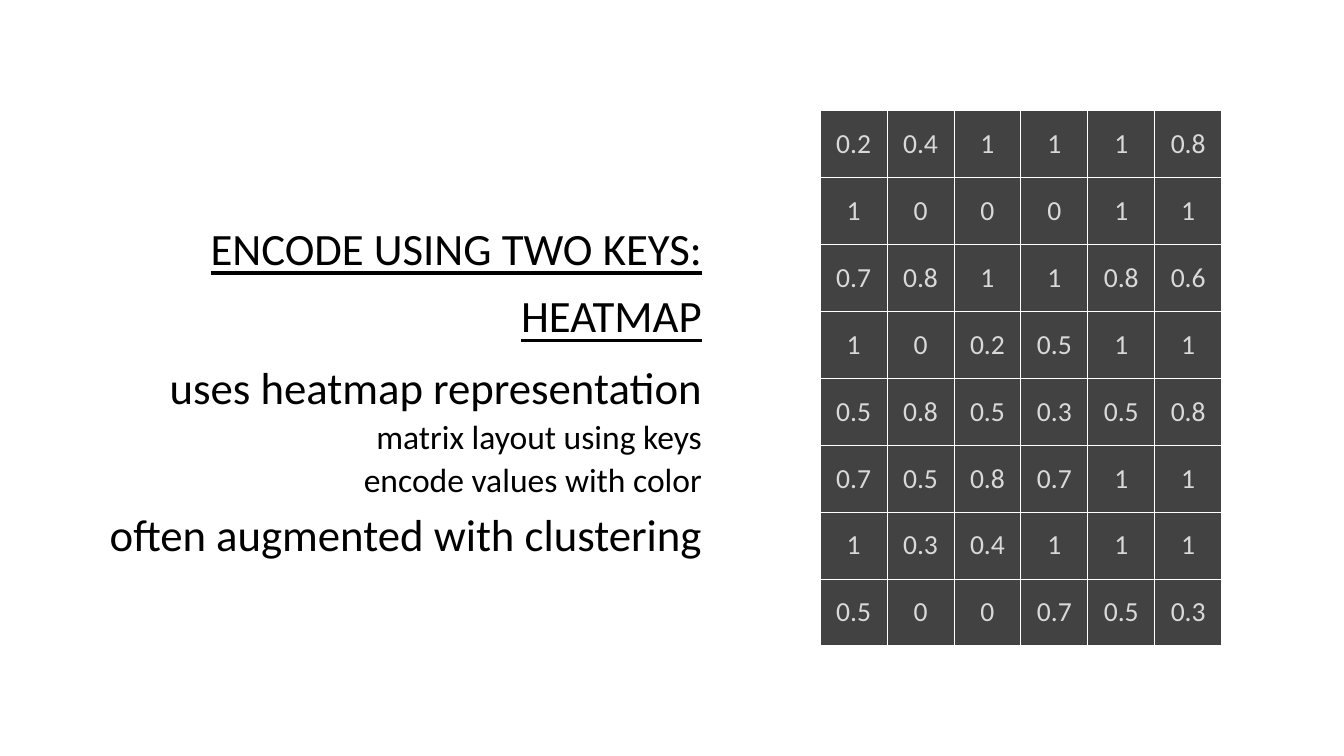
import pptx
import pptx.dml.color
import pptx.enum.text
import pptx.oxml
import pptx.oxml.ns
import pptx.util

Pt = pptx.util.Pt
FONT = "Calibri"

# text, size, space before, space after, line spacing
SUMMARY = [
    ("encode using two keys: heatmap", 56.9, 0, 8.5, 1.0),
    ("uses heatmap representation", 45.5, 7.1, 0, 1.0),
    ("matrix layout using keys", 34.1, 7.1, 0, 0.9),
    ("encode values with color", 34.1, 7.1, 0, 0.9),
    ("often augmented with clustering", 45.5, 7.1, 0, 1.0),
]
HEATMAP = [
    (0.2, 0.4, 1, 1, 1, 0.8),
    (1, 0, 0, 0, 1, 1),
    (0.7, 0.8, 1, 1, 0.8, 0.6),
    (1, 0, 0.2, 0.5, 1, 1),
    (0.5, 0.8, 0.5, 0.3, 0.5, 0.8),
    (0.7, 0.5, 0.8, 0.7, 1, 1),
    (1, 0.3, 0.4, 1, 1, 1),
    (0.5, 0, 0, 0.7, 0.5, 0.3),
]
CELL_SIZE = 68


def rgb(color):
    return pptx.dml.color.RGBColor.from_string(color)


def style_text(paragraph, size, color, align):
    paragraph.alignment = align
    paragraph.font.name = FONT
    paragraph.font.size = Pt(size)
    paragraph.font.color.rgb = rgb(color)


def add_borders(cell, color, width):
    """Outline all four sides; the sides must precede the fill in the cell."""
    properties = cell._tc.get_or_add_tcPr()
    for index, side in enumerate(("lnL", "lnR", "lnT", "lnB")):
        line = pptx.oxml.parse_xml(
            f'<a:{side} {pptx.oxml.ns.nsdecls("a")} w="{Pt(width)}">'
            f'<a:solidFill><a:srgbClr val="{color}"/></a:solidFill></a:{side}>')
        properties.insert(index, line)


def add_summary(slide):
    box = slide.shapes.add_textbox(Pt(0), Pt(100), Pt(720), Pt(582.5))
    frame = box.text_frame
    frame.word_wrap = True
    frame.vertical_anchor = pptx.enum.text.MSO_ANCHOR.MIDDLE
    for index, (text, size, before, after, spacing) in enumerate(SUMMARY):
        paragraph = frame.add_paragraph() if index else frame.paragraphs[0]
        paragraph.text = text
        paragraph.space_before = Pt(before)
        paragraph.space_after = Pt(after)
        paragraph.line_spacing = spacing
        paragraph._p.get_or_add_pPr().set("marL", str(Pt(36.7)))
        style_text(paragraph, size, "000000", pptx.enum.text.PP_ALIGN.RIGHT)
    heading = frame.paragraphs[0].runs[0]
    heading.font.underline = True
    heading._r.get_or_add_rPr().set("cap", "small")


def add_heatmap(slide):
    rows, columns = len(HEATMAP), len(HEATMAP[0])
    table = slide.shapes.add_table(
        rows, columns, Pt(833), Pt(112.5),
        Pt(columns * CELL_SIZE), Pt(rows * CELL_SIZE)).table
    table.first_row = table.horz_banding = False
    for row, values in enumerate(HEATMAP):
        for column, value in enumerate(values):
            cell = table.cell(row, column)
            cell.text = str(value)
            cell.vertical_anchor = pptx.enum.text.MSO_ANCHOR.MIDDLE
            cell.margin_left = cell.margin_right = 0
            cell.margin_top = cell.margin_bottom = 0
            cell.fill.solid()
            cell.fill.fore_color.rgb = rgb("424242")
            add_borders(cell, "FFFFFF", 1)
            style_text(cell.text_frame.paragraphs[0], 28, "D9D9D9",
                       pptx.enum.text.PP_ALIGN.CENTER)


def main():
    deck = pptx.Presentation()
    deck.slide_width, deck.slide_height = Pt(1365.12), Pt(768.24)
    slide = deck.slides.add_slide(deck.slide_layouts[6])
    add_heatmap(slide)
    add_summary(slide)
    deck.save("out.pptx")


if __name__ == "__main__":
    main()
